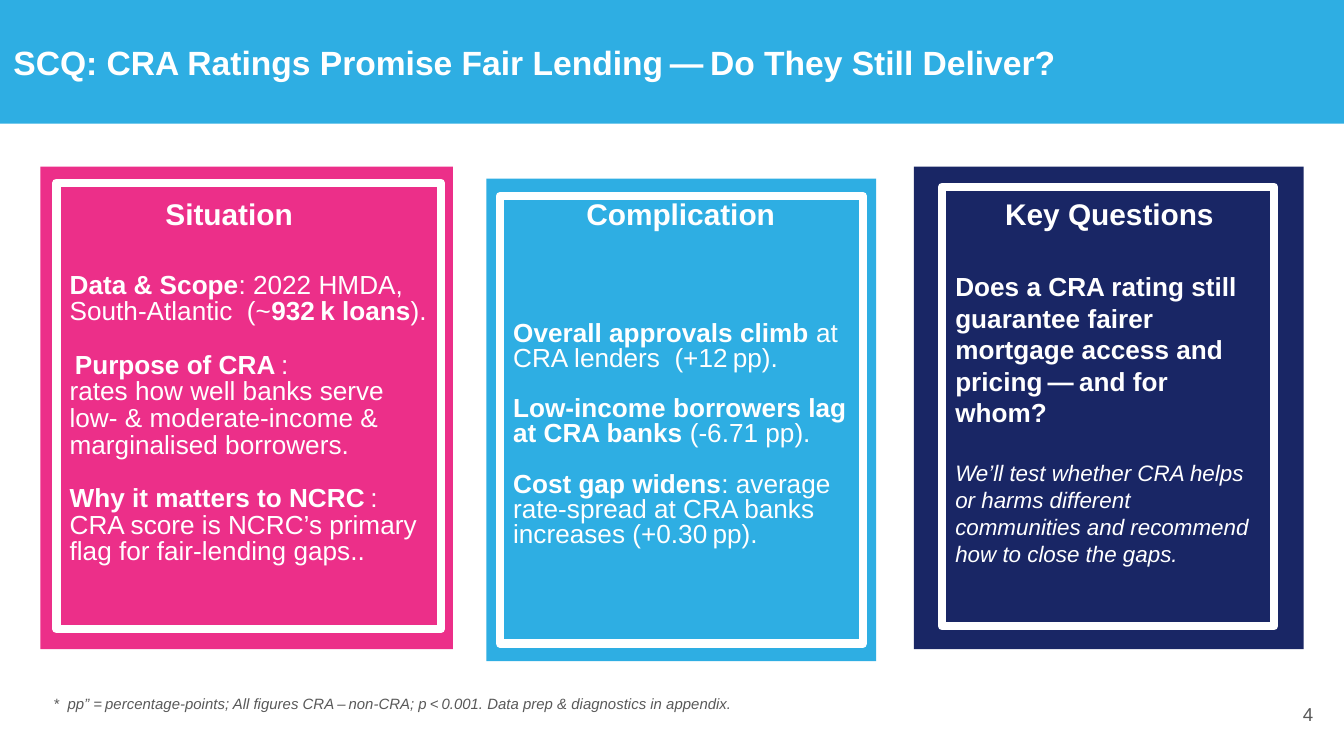
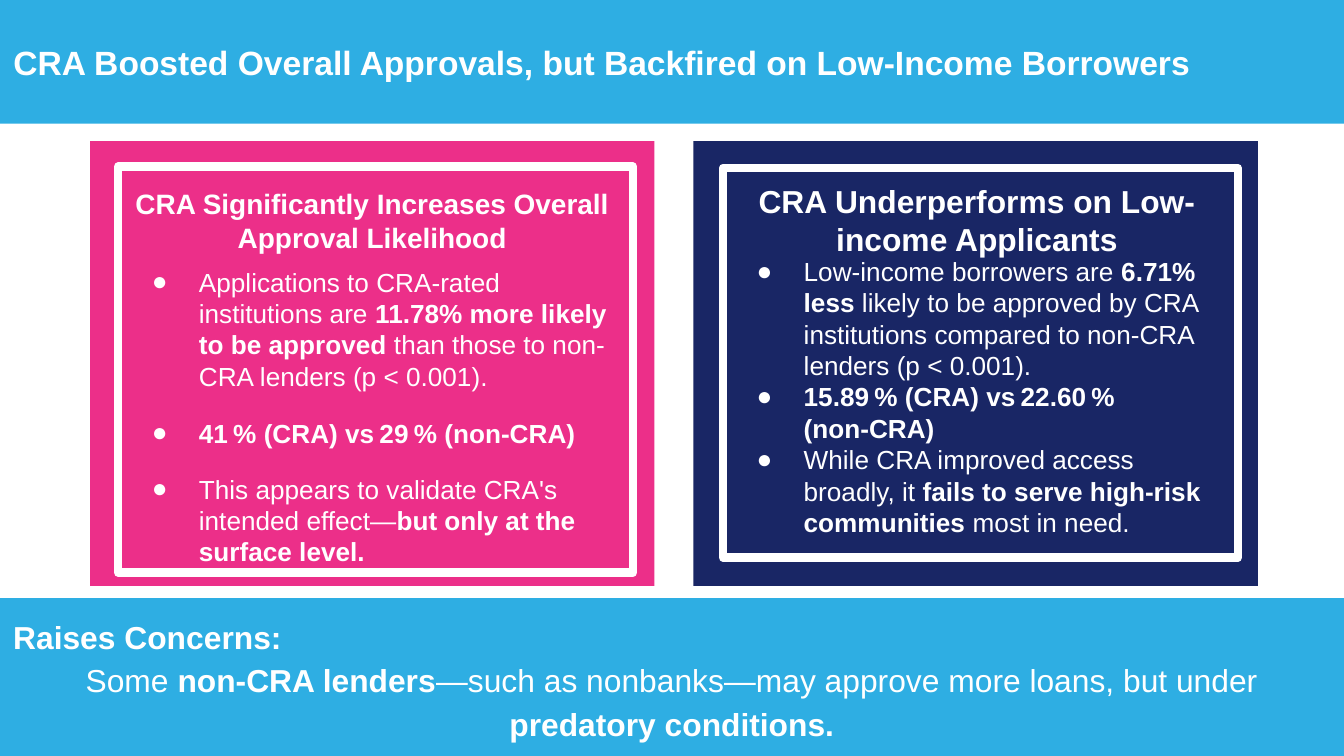
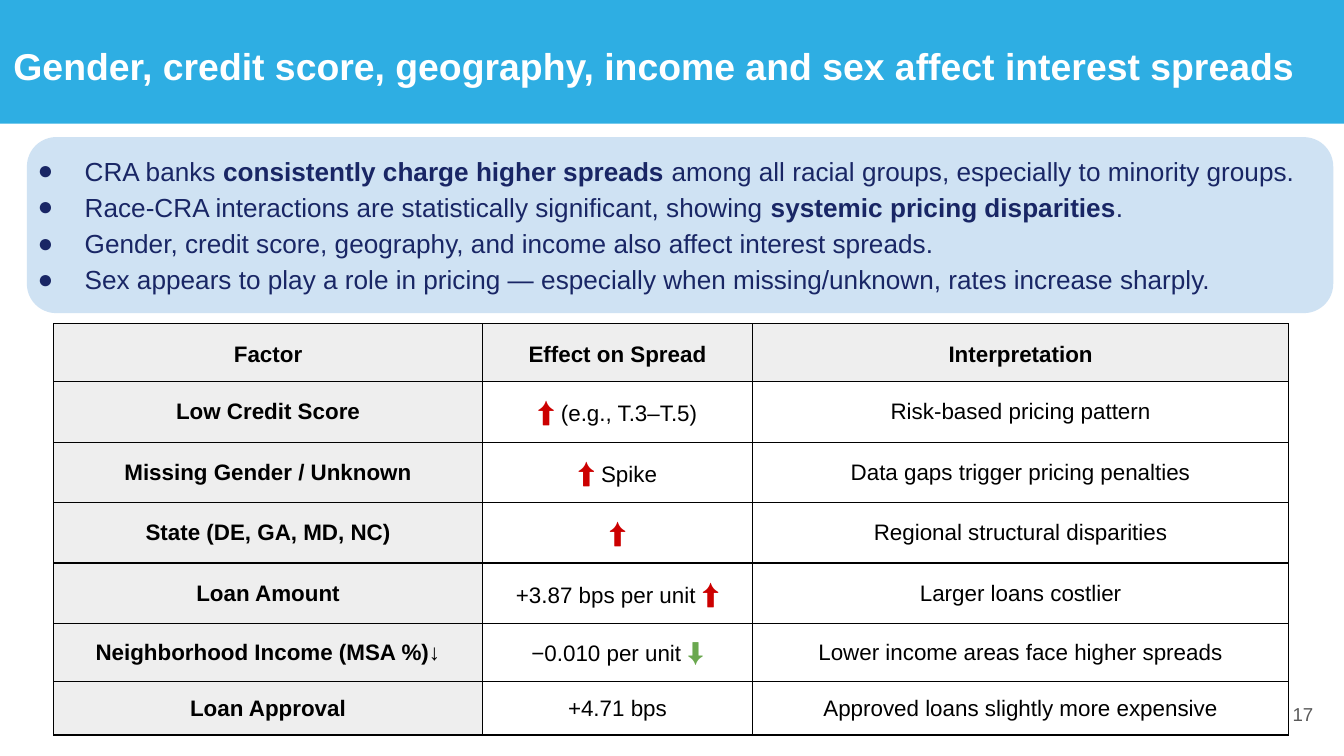
from dataclasses import dataclass
from typing import Any, NamedTuple, Optional, Sequence

from lxml import etree
from pptx import Presentation
from pptx.dml.color import RGBColor
from pptx.enum.shapes import MSO_SHAPE
from pptx.enum.text import MSO_ANCHOR, MSO_AUTO_SIZE, PP_ALIGN
from pptx.oxml.ns import qn
from pptx.util import Emu, Pt

RECT = MSO_SHAPE.RECTANGLE
ROUND = MSO_SHAPE.ROUNDED_RECTANGLE
TOP = MSO_ANCHOR.TOP
MID = MSO_ANCHOR.MIDDLE
FIXED = MSO_AUTO_SIZE.NONE
LEFT = PP_ALIGN.LEFT
MIDST = PP_ALIGN.CENTER
RIGHT = PP_ALIGN.RIGHT

SCALE = 9144
WIDE = 1000
FONT = "Arial"
LINE = 1.2
THIN = chr(8239)
HUES = {
    "pink": "EC2F89",
    "navy": "192665",
    "sky": "2EAEE3",
    "pale": "CFE2F3",
    "white": "FFFFFF",
    "black": "000000",
    "gray": "595959",
    "mist": "EEEEEE",
    "red": "CC0000",
    "green": "6AA84F",
}


class Box(NamedTuple):
    left: int
    top: int
    width: int
    height: int


class Pad(NamedTuple):
    left: int = 10
    top: int = 10
    right: int = 10
    base: int = 10


SNUG = Pad(10, 5, 10, 5)


class Run(NamedTuple):
    text: str
    bold: bool = False
    size: Optional[int] = None
    hue: Optional[str] = None
    slant: bool = False


@dataclass(frozen=True)
class Para:
    runs: Sequence[Run]
    size: int = 14
    hue: str = "white"
    align: Any = LEFT
    pitch: float = 1.0
    gap: float = 0
    dot: bool = False


@dataclass(frozen=True)
class Card:
    hue: str
    outer: Box
    inner: Box
    pad: Pad
    head: str
    spot: Box
    size: int
    paras: Sequence[Para]


def px(count: int) -> Emu:
    return Emu(count * SCALE)


def rgb(hue: str) -> RGBColor:
    return RGBColor.from_string(HUES[hue])


def blank(size: int, pitch: float = 1.0) -> float:
    return round(size * LINE * pitch, 1)


def place(shape: Any, box: Box) -> None:
    shape.left, shape.top, shape.width, shape.height = map(px, box)


def dot(para: Any, hue: str) -> None:
    props = para._p.get_or_add_pPr()
    props.set("marL", str(px(50)))
    props.set("indent", str(px(-35)))
    tint = etree.SubElement(props, qn("a:buClr"))
    etree.SubElement(tint, qn("a:srgbClr"), val=HUES[hue])
    etree.SubElement(props, qn("a:buFont"), typeface=FONT)
    etree.SubElement(props, qn("a:buChar"), char="●")


def write(frame: Any, paras: Sequence[Para]) -> None:
    for rank, item in enumerate(paras):
        para = frame.add_paragraph() if rank else frame.paragraphs[0]
        if item.dot:
            dot(para, item.hue)
        para.alignment = item.align
        para.line_spacing = item.pitch
        para.space_before = Pt(item.gap)
        para.space_after = Pt(0)
        for part in item.runs:
            run = para.add_run()
            run.text = part.text
            font = run.font
            font.name = FONT
            font.size = Pt(part.size or item.size)
            font.bold = part.bold
            font.italic = part.slant
            font.color.rgb = rgb(part.hue or item.hue)


def text(shape: Any, paras: Sequence[Para], pad: Pad = Pad(), hold: Any = TOP) -> None:
    frame = shape.text_frame
    frame.word_wrap = True
    frame.auto_size = FIXED
    frame.vertical_anchor = hold
    frame.margin_left, frame.margin_top, frame.margin_right, frame.margin_bottom = map(px, pad)
    write(frame, paras)


def paint(shape: Any, hue: str) -> None:
    shape.fill.solid()
    shape.fill.fore_color.rgb = rgb(hue)


def block(slide: Any, box: Box, hue: str, kind: Any = RECT) -> Any:
    shape = slide.shapes.add_shape(kind, *map(px, box))
    shape.shadow.inherit = False
    paint(shape, hue)
    shape.line.fill.background()
    return shape


def label(slide: Any, box: Box, para: Para, hold: Any = TOP) -> None:
    text(slide.shapes.add_textbox(*map(px, box)), [para], hold=hold)


def start(deck: Any, layout: int, title: str, size: int = 18, pitch: float = 1.0) -> Any:
    slide = deck.slides.add_slide(deck.slide_layouts[layout])
    band = slide.shapes.title
    place(band, Box(0, 0, WIDE, 92))
    paint(band, "sky")
    text(band, [Para([Run(title, True)], size, pitch=pitch)], SNUG, MID)
    return slide


def number(slide: Any, count: str) -> None:
    label(slide, Box(927, 510, 60, 43), Para([Run(count)], 10, "gray", RIGHT), MID)


def panel(slide: Any, card: Card, holder: Any = None) -> None:
    block(slide, card.outer, card.hue)
    if holder is None:
        frame = block(slide, card.inner, card.hue)
    else:
        frame = holder
        frame.element.getparent().append(frame.element)
        place(frame, card.inner)
        paint(frame, card.hue)
    frame.line.color.rgb = rgb("white")
    frame.line.width = Pt(4.5)
    text(frame, card.paras, card.pad, MID)
    label(slide, card.spot, Para([Run(card.head, True)], card.size, align=MIDST))


def border(cell: Any) -> None:
    props = cell._tc.get_or_add_tcPr()
    for rank, side in enumerate(("lnL", "lnR", "lnT", "lnB")):
        edge = etree.Element(qn("a:" + side), w=str(Pt(0.75)))
        fill = etree.SubElement(edge, qn("a:solidFill"))
        etree.SubElement(fill, qn("a:srgbClr"), val=HUES["black"])
        props.insert(rank, edge)


def grid(slide: Any, box: Box, cols: Sequence[int], rows: Sequence[int],
         cells: Sequence[Sequence[Sequence[Run]]]) -> None:
    table = slide.shapes.add_table(len(rows), len(cols), *map(px, box)).table
    table.first_row = table.horz_banding = False
    for col, width in zip(table.columns, cols):
        col.width = px(width)
    for row, height in zip(table.rows, rows):
        row.height = px(height)
    for down, line in enumerate(cells):
        for over, runs in enumerate(line):
            cell = table.cell(down, over)
            paint(cell, "white" if down and over else "mist")
            border(cell)
            cell.vertical_anchor = MID
            cell.margin_left = cell.margin_right = px(10)
            cell.margin_top = cell.margin_bottom = px(10)
            pitch = 1.0 if down else 1.15
            write(cell.text_frame, [Para(runs, 12, "black", MIDST, pitch)])


def story(deck: Any) -> None:
    slide = start(deck, 5, "SCQ: CRA Ratings Promise Fair Lending"
                           f"{THIN}—{THIN}Do They Still Deliver?")
    tight, dense = 0.85, 0.8
    cards = [
        Card("pink", Box(30, 124, 307, 359), Box(42, 136, 286, 332), Pad(10, 25, 10, 5),
             "Situation", Box(56, 136, 229, 43), 16, [
                 Para([Run("Data & Scope", True), Run(": 2022 HMDA, South‑Atlantic  (~"),
                       Run(f"932{THIN}k loans", True), Run(").")], pitch=tight),
                 Para([Run(f"{THIN}Purpose of CRA", True), Run(f"{THIN}:")],
                      pitch=tight, gap=blank(14, tight)),
                 Para([Run("rates how well banks serve low‑ & moderate‑income & "
                           "marginalised borrowers.")], pitch=tight),
                 Para([Run("Why it matters to NCRC", True),
                       Run(f"{THIN}: CRA score is NCRC’s primary flag for fair‑lending gaps..")],
                      pitch=tight, gap=blank(14, tight)),
             ]),
        Card("navy", Box(680, 124, 290, 359), Box(701, 139, 247, 327), Pad(10, 23, 10, 5),
             "Key Questions", Box(711, 136, 229, 43), 16, [
                 Para([Run("Does a CRA rating still guarantee fairer mortgage access and "
                           f"pricing{THIN}—{THIN}and for whom?", True)]),
                 Para([Run("We’ll test whether CRA helps or harms different communities and "
                           "recommend how to close the gaps.", slant=True)],
                      12, gap=blank(14)),
             ]),
        Card("sky", Box(362, 133, 290, 359), Box(372, 146, 270, 333), Pad(10, 28, 10, 5),
             "Complication", Box(392, 136, 229, 43), 16, [
                 Para([Run("Overall approvals climb", True),
                       Run(f" at CRA lenders  (+12{THIN}pp).")], pitch=dense),
                 Para([Run("Low‑income borrowers lag at CRA banks ", True),
                       Run("(-6.71 pp).")], pitch=dense, gap=blank(14, dense)),
                 Para([Run("Cost gap widens", True),
                       Run(f": average rate‑spread at CRA banks increases (+0.30{THIN}pp).")],
                      pitch=dense, gap=blank(14, dense)),
             ]),
    ]
    for card in cards:
        panel(slide, card)
    note = (f"*  pp” ={THIN}percentage‑points; All figures CRA{THIN}–{THIN}non‑CRA; "
            f"p{THIN}<{THIN}0.001. Data prep & diagnostics in appendix.")
    label(slide, Box(30, 516, 813, 22), Para([Run(note, slant=True)], 8, "gray", pitch=0.2))
    number(slide, "4")


def result(deck: Any) -> None:
    slide = start(deck, 3, "CRA Boosted Overall Approvals, but Backfired on Low-Income Borrowers")
    cards = [
        Card("pink", Box(67, 105, 420, 331), Box(88, 124, 383, 302), Pad(10, 70, 10, 0),
             "CRA Significantly Increases Overall Approval Likelihood",
             Box(67, 129, 420, 71), 15, [
                 Para([Run("Applications to CRA-rated institutions are "),
                       Run("11.78% more likely to be approved", True),
                       Run(" than those to non-CRA lenders (p < 0.001).")], dot=True),
                 Para([Run(f"41{THIN}% (CRA) vs{THIN}29{THIN}% (non-CRA)", True)],
                      pitch=0.8, gap=blank(14), dot=True),
                 Para([Run("This appears to validate CRA's intended effect—"),
                       Run("but only at the surface level.", True)],
                      gap=blank(14, 0.8), dot=True),
             ]),
        Card("navy", Box(516, 105, 420, 331), Box(538, 125, 383, 290), Pad(10, 62, 10, 12),
             "CRA Underperforms on Low-income Applicants",
             Box(545, 125, 364, 77), 17, [
                 Para([Run("Low-income borrowers are "), Run("6.71% less", True),
                       Run(" likely to be approved by CRA institutions compared to "
                           "non-CRA lenders (p < 0.001).")], dot=True),
                 Para([Run(f"15.89{THIN}% (CRA) vs{THIN}22.60{THIN}% (non‑CRA)", True)],
                      dot=True),
                 Para([Run("While CRA improved access broadly, it "),
                       Run("fails to serve high-risk communities ", True),
                       Run("most in need.")], dot=True),
             ]),
    ]
    for rank, card in enumerate(cards, 1):
        panel(slide, card, slide.placeholders[rank])
    band = block(slide, Box(0, 445, WIDE, 118), "sky")
    text(band, [
        Para([Run("Raises Concerns:", True)], 17, pitch=1.15),
        Para([Run("Some "), Run("non-CRA lenders", True),
              Run("—such as nonbanks—may approve more loans, but under"),
              Run(" predatory conditions.", True)], 17, align=MIDST, pitch=1.15),
    ], SNUG, MID)


def spread(deck: Any) -> None:
    slide = start(deck, 1, "Gender, credit score, geography, income and sex affect interest spreads",
                  20, 1.15)
    block(slide, Box(20, 102, 972, 131), "pale", ROUND)
    points = [
        [Run("CRA banks "), Run("consistently charge higher spreads ", True),
         Run("among all racial groups, especially to minority groups.")],
        [Run("Race-CRA interactions are statistically significant, showing "),
         Run("systemic pricing disparities", True), Run(".")],
        [Run("Gender, credit score, geography, and income also affect interest spreads.")],
        [Run("Sex appears to play a role in pricing — especially when missing/unknown, "
             "rates increase sharply.")],
    ]
    body = slide.placeholders[1]
    body.element.getparent().append(body.element)
    place(body, Box(3, 102, 988, 150))
    text(body, [Para(runs, hue="navy", pitch=1.15, dot=True) for runs in points])
    number(slide, "17")
    rise = Run("⬆", True, 15, "red")
    fall = Run("⬇", True, 14, "green")
    facts = [
        ("Low Credit Score", [rise, Run(" (e.g., T.3–T.5)")], "Risk-based pricing pattern"),
        ("Missing Gender / Unknown", [rise, Run(" Spike")], "Data gaps trigger pricing penalties"),
        ("State (DE, GA, MD, NC)", [rise], "Regional structural disparities"),
        ("Loan Amount", [Run("+3.87 bps per unit "), rise], "Larger loans costlier"),
        ("Neighborhood Income (MSA %)↓", [Run("−0.010 per unit "), fall],
         "Lower income areas face higher spreads"),
        ("Loan Approval", [Run("+4.71 bps")], "Approved loans slightly more expensive"),
    ]
    heads = [[Run(head, True)] for head in ("Factor", "Effect on Spread", "Interpretation")]
    cells = [heads] + [[[Run(name, True)], mark, [Run(sense)]] for name, mark, sense in facts]
    grid(slide, Box(40, 241, 919, 306), (319, 201, 399), (43, 45, 45, 45, 45, 43, 40), cells)


def main() -> None:
    deck = Presentation()
    deck.slide_width = px(WIDE)
    deck.slide_height = Emu(px(WIDE) * 9 // 16)
    for build in (story, result, spread):
        build(deck)
    deck.save("out.pptx")


if __name__ == "__main__":
    main()
